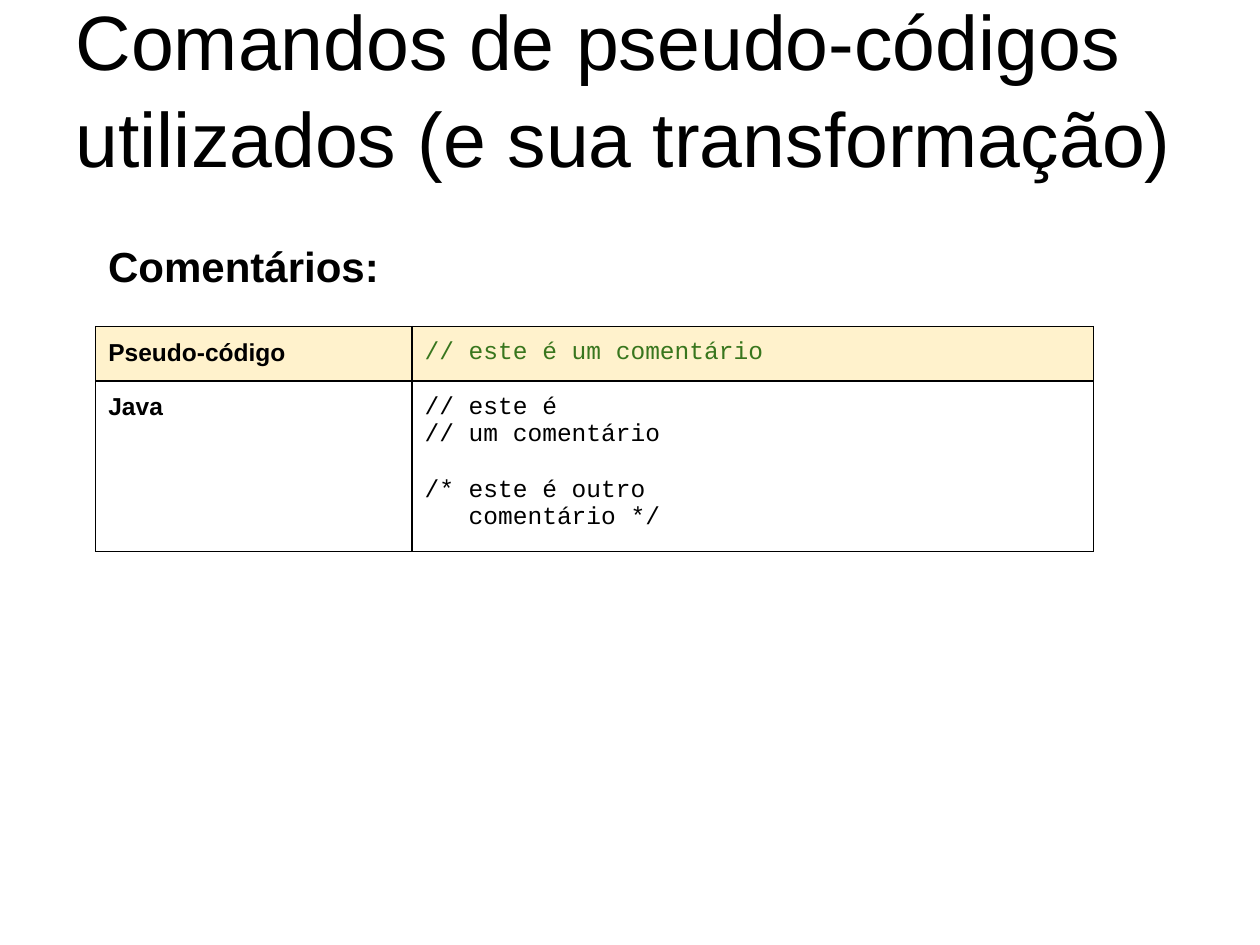
import pptx
import pptx.dml.color
import pptx.enum.text
import pptx.oxml
import pptx.oxml.ns
import pptx.util

Pt = pptx.util.Pt
INSET = 7.2
BLACK = "000000"
CREAM = "FFF2CC"
GREEN = "38761D"
CODE_LINE = 15.84
BODY_LEFT = 54.72
COLUMN_WIDTHS = [180.72, 389.52]
ROW_HEIGHTS = [30.24, 93.6]
LABEL = {"name": "Arial", "size": Pt(14), "bold": True}
CODE = {"name": "Courier New", "size": Pt(14), "bold": False}


def colour(value):
    return pptx.dml.color.RGBColor.from_string(value)


def set_values(target, values):
    for name, value in values.items():
        setattr(target, name, value)


def set_margins(target):
    sides = ("left", "right", "top", "bottom")
    set_values(target, {f"margin_{side}": Pt(INSET) for side in sides})


def write_line(para, text, font, fill=BLACK, **spacing):
    set_values(para, spacing)
    span = para.add_run()
    span.text = text
    set_values(span.font, font)
    span.font.color.rgb = colour(fill)


def place(shape, left, top, width, height):
    set_values(shape, {
        "left": Pt(left), "top": Pt(top),
        "width": Pt(width), "height": Pt(height),
    })


def add_title(page, text):
    title = page.shapes.title
    place(title, 36, 21.6, 648, 90)
    frame = title.text_frame
    set_margins(frame)
    set_values(frame, {
        "word_wrap": True,
        "auto_size": pptx.enum.text.MSO_AUTO_SIZE.NONE,
        "vertical_anchor": pptx.enum.text.MSO_ANCHOR.BOTTOM,
    })
    write_line(frame.paragraphs[0], text, {"name": "Arial", "size": Pt(44)},
               alignment=pptx.enum.text.PP_ALIGN.LEFT, line_spacing=1.05)


def add_heading(page, text):
    box = page.shapes.add_textbox(Pt(BODY_LEFT), Pt(126), Pt(570.24), Pt(390.96))
    frame = box.text_frame
    frame.word_wrap = True
    set_margins(frame)
    write_line(frame.paragraphs[0], text,
               {"name": "Arial", "size": Pt(24), "bold": True}, line_spacing=1.15)


def add_borders(cell):
    properties = cell._tc.get_or_add_tcPr()
    for position, side in enumerate(("lnL", "lnR", "lnT", "lnB")):
        border = pptx.oxml.parse_xml(
            f'<a:{side} {pptx.oxml.ns.nsdecls("a")} w="{Pt(0.75)}">'
            f'<a:solidFill><a:srgbClr val="{BLACK}"/></a:solidFill></a:{side}>'
        )
        properties.insert(position, border)


def fill_cell(cell, lines, font, text_colour, background):
    set_margins(cell)
    if background:
        cell.fill.solid()
        cell.fill.fore_color.rgb = colour(background)
    else:
        cell.fill.background()
    add_borders(cell)
    frame = cell.text_frame
    for index, (text, gap) in enumerate(lines):
        para = frame.add_paragraph() if index else frame.paragraphs[0]
        write_line(para, text, font, text_colour, space_before=Pt(gap))


def add_code_table(page, rows):
    frame = page.shapes.add_table(
        len(rows), len(COLUMN_WIDTHS), Pt(BODY_LEFT), Pt(186.48),
        Pt(sum(COLUMN_WIDTHS)), Pt(sum(ROW_HEIGHTS)))
    table = frame.table
    set_values(table, {"first_row": False, "horz_banding": False})
    for column, width in zip(table.columns, COLUMN_WIDTHS):
        column.width = Pt(width)
    for index, (label, lines, text_colour, background) in enumerate(rows):
        table.rows[index].height = Pt(ROW_HEIGHTS[index])
        fill_cell(table.cell(index, 0), [(label, 0)], LABEL, BLACK, background)
        fill_cell(table.cell(index, 1), lines, CODE, text_colour, background)


def main():
    deck = pptx.Presentation()
    set_values(deck, {"slide_width": Pt(720), "slide_height": Pt(540)})
    page = deck.slides.add_slide(deck.slide_layouts.get_by_name("Title Only"))
    add_heading(page, "Comentários:")
    add_title(page, "Comandos de pseudo-códigos utilizados (e sua transformação)")
    add_code_table(page, [
        ("Pseudo-código", [("// este é um comentário", 0)], GREEN, CREAM),
        ("Java", [
            ("// este é", 0),
            ("// um comentário", 0),
            ("/* este é outro", CODE_LINE),
            ("   comentário */", 0),
        ], BLACK, None),
    ])
    deck.save("out.pptx")


if __name__ == "__main__":
    main()
